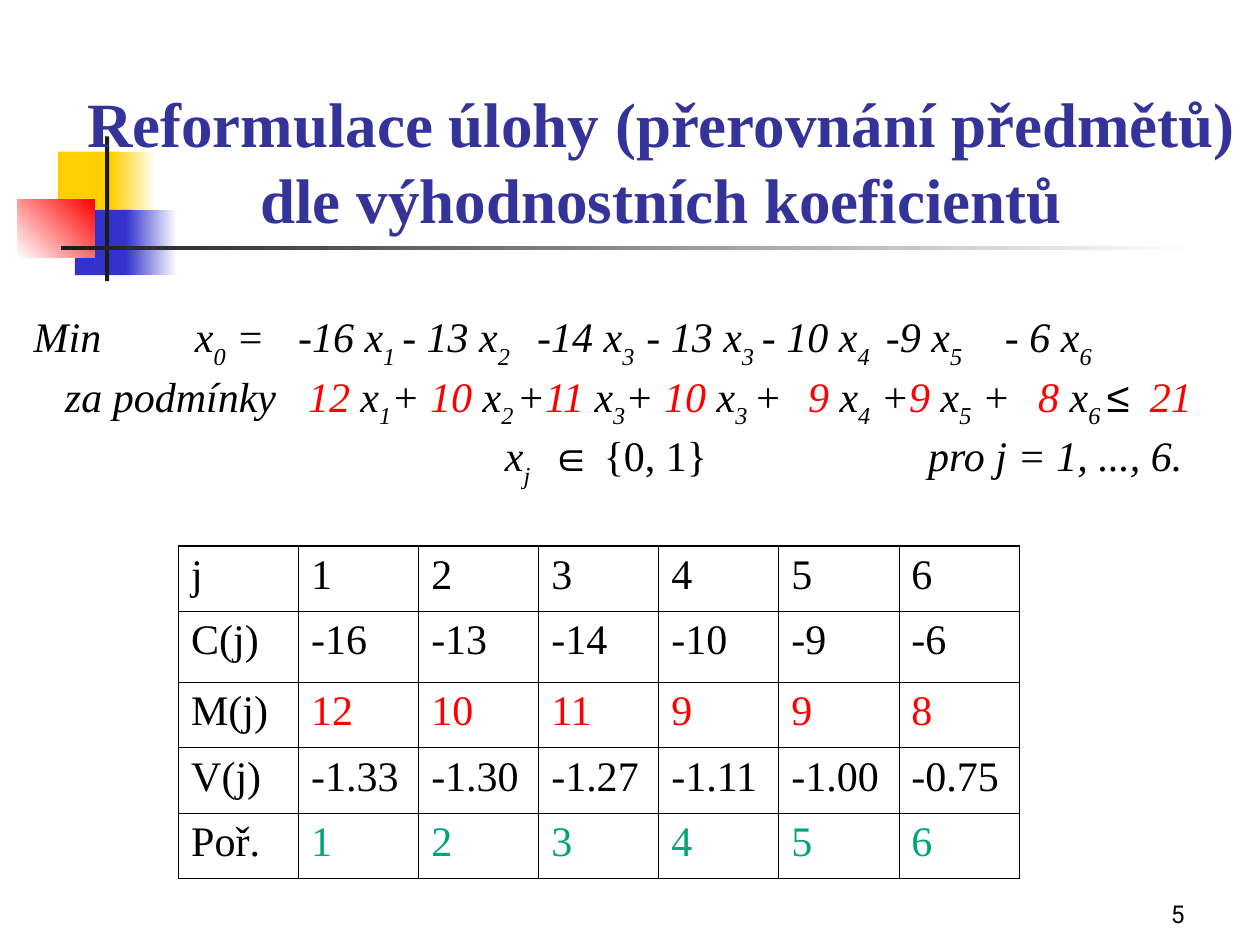
"""Build the slide on reordering knapsack items by their benefit coefficients."""
from lxml import etree
from pptx import Presentation
from pptx import util as u
from pptx.dml.color import RGBColor
from pptx.enum import shapes, text
from pptx.oxml import ns

BLACK = RGBColor(0x00, 0x00, 0x00)
WHITE = RGBColor(0xFF, 0xFF, 0xFF)
DARK = RGBColor(0x1C, 0x1C, 0x1C)
RED = RGBColor(0xFF, 0x00, 0x00)
YELLOW = RGBColor(0xFF, 0xCF, 0x01)
BLUE = RGBColor(0x33, 0x33, 0xCC)
NAVY = RGBColor(0x33, 0x33, 0x99)
GREEN = RGBColor(0x00, 0xA4, 0x79)
SERIF = "Times New Roman"

TITLE = "Reformulace úlohy (přerovnání předmětů) dle výhodnostních koeficientů"

DECORATIONS = [
    ((1.17, 3.06, 1.22, 1.32), (YELLOW,), 0),
    ((2.24, 3.06, 0.91, 1.32), (YELLOW, WHITE), 0),
    ((1.51, 4.23, 1.17, 1.32), (BLUE,), 0),
    ((2.54, 4.23, 1.02, 1.32), (BLUE, WHITE), 0),
    ((0.36, 4.02, 1.55, 1.17), (WHITE, RED), 45),
    ((2.12, 2.75, 0.08, 2.92), (DARK,), 0),
    ((1.23, 4.95, 22.86, 0.09), (DARK, WHITE), 0),
]

BASE = {"name": SERIF, "size": u.Pt(24), "italic": True}
KINDS = {
    "plain": {},
    "red": {"color": RED},
    "sub": {"baseline": "-30000"},
    "symbol": {"name": "Arial"},
    "upright": {"italic": False},
}
FORMULAS = [
    ((3.25, 5.33, 7.43, 10.15, 12.35, 14.68, 17.18, 19.58), [
        ("Min\tx", "plain"), ("0", "sub"), (" =\t-16 x", "plain"), ("1", "sub"),
        ("\t- 13 x", "plain"), ("2", "sub"), ("\t-14 x", "plain"), ("3", "sub"),
        ("\t- 13 x", "plain"), ("3", "sub"), ("\t- 10 x", "plain"), ("4", "sub"),
        ("\t-9 x", "plain"), ("5", "sub"), ("\t- 6 x", "plain"), ("6", "sub")]),
    ((0.63, 5.53, 9.74, 15.61, 20.25, 22.5), [
        ("\tza podmínky\t", "plain"), ("12 ", "red"), ("x", "plain"), ("1", "sub"),
        ("+ ", "plain"), ("10 ", "red"), ("x", "plain"), ("2", "sub"),
        ("\t+", "plain"), ("11", "red"), (" x", "plain"), ("3", "sub"),
        ("+ ", "plain"), ("10 ", "red"), ("x", "plain"), ("3 ", "sub"),
        ("+\t", "plain"), ("9 ", "red"), ("x", "plain"), ("4", "sub"),
        (" +", "plain"), ("9", "red"), (" x", "plain"), ("5", "sub"),
        (" +\t", "plain"), ("8 ", "red"), ("x", "plain"), ("6 ", "sub"),
        ("≤\t", "symbol"), ("21", "red")]),
    ((9.5, 10.41, 18.03), [
        ("\tx", "plain"), ("j\t", "sub"), ("∈ ", "symbol"), ("{0, 1}", "upright"),
        ("\tpro j = 1, ..., 6.", "plain")]),
]

ROWS = [
    ("j", BLACK, 1.32, ["1", "2", "3", "4", "5", "6"]),
    ("C(j)", BLACK, 1.43, ["-16", "-13", "-14", "-10", "-9", "-6"]),
    ("M(j)", RED, 1.32, ["12", "10", "11", "9", "9", "8"]),
    ("V(j)", BLACK, 1.32, ["-1.33", "-1.30", "-1.27", "-1.11", "-1.00", "-0.75"]),
    ("Poř.", GREEN, 1.32, ["1", "2", "3", "4", "5", "6"]),
]
COLUMN_WIDTH = 2.42
TOP_EDGE, INNER = u.Pt(1.08), u.Pt(0.45)


def box(left, top, width, height):
    return [u.Cm(value) for value in (left, top, width, height)]


def set_values(target, values):
    for key, value in values.items():
        setattr(target, key, value)


def add_run(paragraph, content, color=BLACK, baseline=None, **font_values):
    run = paragraph.add_run()
    run.text = content
    set_values(run.font, font_values)
    run.font.color.rgb = color
    if baseline:
        run.font._element.set("baseline", baseline)


def add_decoration(slide, area, colors, angle):
    shape = slide.shapes.add_shape(shapes.MSO_SHAPE.RECTANGLE, *box(*area))
    shape.shadow.inherit = False
    shape.line.fill.background()
    if len(colors) == 1:
        shape.fill.solid()
        shape.fill.fore_color.rgb = colors[0]
        return
    shape.fill.gradient()
    shape.fill.gradient_angle = angle
    for stop, color in zip(shape.fill.gradient_stops, colors):
        stop.color.rgb = color


def add_title(slide):
    title = slide.shapes.title
    slide.shapes._spTree.append(title._element)
    set_values(title, dict(zip(("left", "top", "width", "height"),
                               box(1.48, 1.7, 23.7, 3.18))))
    set_values(title.text_frame, {
        "margin_left": 0, "margin_right": 0, "word_wrap": True,
        "auto_size": text.MSO_AUTO_SIZE.NONE,
        "vertical_anchor": text.MSO_ANCHOR.BOTTOM})
    paragraph = title.text_frame.paragraphs[0]
    paragraph.alignment = text.PP_ALIGN.CENTER
    add_run(paragraph, TITLE, NAVY, name=SERIF, size=u.Pt(36), bold=True)


def add_formulas(slide):
    frame = slide.shapes.add_textbox(*box(0.43, 6.14, 24.56, 3.86)).text_frame
    frame.word_wrap = True
    for index, (tabs, runs) in enumerate(FORMULAS):
        paragraph = frame.add_paragraph() if index else frame.paragraphs[0]
        properties = paragraph._p.get_or_add_pPr()
        tab_list = etree.SubElement(properties, ns.qn("a:tabLst"))
        for tab in tabs:
            etree.SubElement(tab_list, ns.qn("a:tab"), pos=str(u.Cm(tab)), algn="l")
        for content, kind in runs:
            add_run(paragraph, content, **{**BASE, **KINDS[kind]})


def set_borders(cell, widths):
    properties = cell._tc.get_or_add_tcPr()
    for index, (side, width) in enumerate(zip("LRTB", widths)):
        line = etree.Element(ns.qn(f"a:ln{side}"), w=str(width))
        fill = etree.SubElement(line, ns.qn("a:solidFill"))
        etree.SubElement(fill, ns.qn("a:srgbClr"), val=str(BLACK))
        properties.insert(index, line)


def add_coefficients(slide):
    row_count, column_count = len(ROWS), len(ROWS[0][3]) + 1
    area = box(3.6, 11, COLUMN_WIDTH * column_count, sum(row[2] for row in ROWS))
    table = slide.shapes.add_table(row_count, column_count, *area).table
    set_values(table, {"first_row": False, "horz_banding": False})
    for column in table.columns:
        column.width = u.Cm(COLUMN_WIDTH)
    for row, (label, color, height, values) in enumerate(ROWS):
        table.rows[row].height = u.Cm(height)
        for column, content in enumerate([label, *values]):
            cell = table.cell(row, column)
            cell.fill.background()
            set_borders(cell, (INNER, INNER, INNER if row else TOP_EDGE, INNER))
            add_run(cell.text_frame.paragraphs[0], content,
                    color if column else BLACK, name=SERIF, size=u.Pt(24))


def add_page_number(slide):
    frame = slide.shapes.add_textbox(*box(18.85, 17.58, 5.28, 1.27)).text_frame
    set_values(frame, {"word_wrap": True, "vertical_anchor": text.MSO_ANCHOR.BOTTOM})
    paragraph = frame.paragraphs[0]
    paragraph.alignment = text.PP_ALIGN.RIGHT
    add_run(paragraph, "5", name="Roboto", size=u.Pt(14))


def main():
    presentation = Presentation()
    set_values(presentation, {"slide_width": u.Cm(25.4), "slide_height": u.Cm(19.05)})
    slide = presentation.slides.add_slide(presentation.slide_layouts[5])
    for decoration in DECORATIONS:
        add_decoration(slide, *decoration)
    add_page_number(slide)
    add_title(slide)
    add_formulas(slide)
    add_coefficients(slide)
    presentation.save("out.pptx")


if __name__ == "__main__":
    main()
